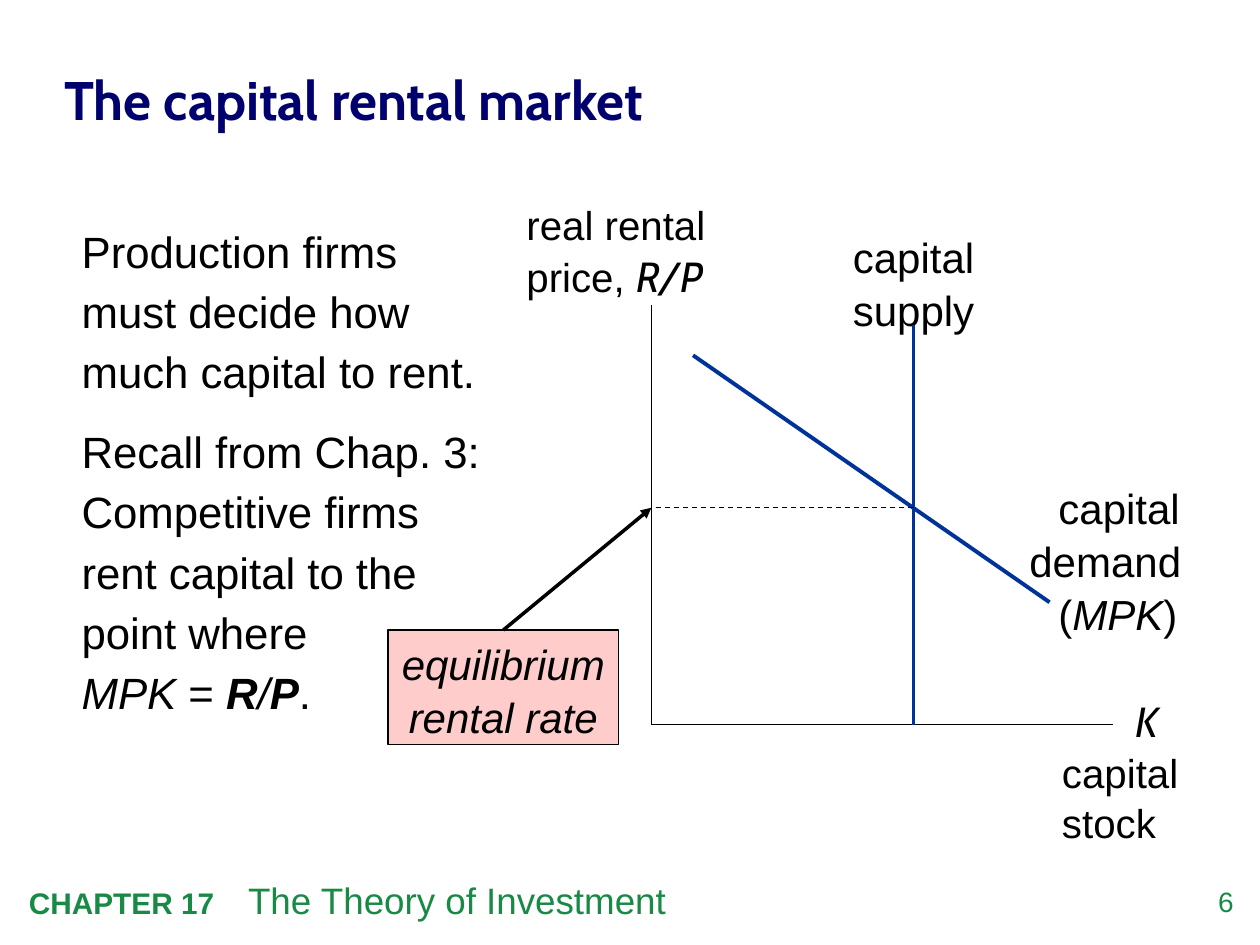
from lxml import etree
from pptx import Presentation
from pptx.dml.color import RGBColor
from pptx.enum import dml, shapes, text
from pptx.oxml.ns import qn
from pptx.util import Inches, Pt

BLACK, GREEN, NAVY, BLUE, PINK = "000000", "198A46", "00006E", "003399", "FFCCCC"
LEFT, CENTER, RIGHT = text.PP_ALIGN.LEFT, text.PP_ALIGN.CENTER, text.PP_ALIGN.RIGHT

prs = Presentation()
prs.slide_width, prs.slide_height = Inches(10), Inches(7.5)
slide = prs.slides.add_slide(prs.slide_layouts[6])


def rgb(value):
    return RGBColor.from_string(value)


def write(shape, paragraphs, color=BLACK, align=LEFT, spacing=1.05,
          before=0, inset=True, tab=None):
    """Fill a shape; each run is (text, size, style, font), \\v breaks a line."""
    frame = shape.text_frame
    frame.word_wrap = True
    frame.vertical_anchor = text.MSO_ANCHOR.TOP
    if not inset:
        frame.margin_left = frame.margin_right = 0
        frame.margin_top = frame.margin_bottom = 0
    for i, runs in enumerate(paragraphs):
        para = frame.paragraphs[0] if i == 0 else frame.add_paragraph()
        para.alignment, para.line_spacing = align, spacing
        if i and before:
            para.space_before = Pt(before)
        if tab:
            stops = etree.SubElement(para._p.get_or_add_pPr(), qn("a:tabLst"))
            etree.SubElement(stops, qn("a:tab"), pos=str(Inches(tab)), algn="l")
        for words, size, style, face in runs:
            for n, piece in enumerate(words.split("\v")):
                if n:
                    para.add_line_break()
                if not piece:
                    continue
                run = para.add_run()
                run.text = piece
                run.font.size, run.font.name = Pt(size), face
                run.font.bold, run.font.italic = "b" in style, "i" in style
                run.font.color.rgb = rgb(color)


# Text boxes: position, paragraphs, settings
labels = [
    # Footer
    ((9.24, 7.01, 0.55, 0.32), [[("6", 16, "", "Arial")]],
     dict(color=GREEN, align=RIGHT, inset=False)),
    ((0.13, 6.9, 8.18, 0.45),
     [[("CHAPTER 17\t", 17, "b", "Arial"),
       ("The Theory of Investment", 21, "", "Arial")]],
     dict(color=GREEN, tab=1.74)),
    # Explanation
    ((0.55, 1.67, 3.5, 4.17),
     [[("Production firms must decide how much capital to rent.", 25, "", "Arial")],
      [("Recall from Chap. 3:\vCompetitive firms rent capital to the point where \v",
        25, "", "Arial"),
       ("MPK", 25, "i", "Arial"), (" = ", 25, "", "Arial"),
       ("R", 25, "bi", "Arial"), ("/", 25, "i", "Arial"),
       ("P", 25, "bi", "Arial"), (".", 25, "", "Arial")]],
     dict(spacing=1.15, before=11)),
    # Axis names
    ((8.33, 5.45, 1.25, 1.27),
     [[("\tK", 24, "i", "Cabin")], [("capital stock", 23, "", "Arial")]],
     dict(tab=0.58)),
    ((4.08, 1.52, 1.83, 0.88),
     [[("real rental price, ", 23, "", "Arial"), ("R/P", 24, "i", "Cabin")]], {}),
    # Curve names
    ((6.67, 1.77, 1.25, 0.91), [[("capital supply", 24, "", "Arial")]], {}),
    ((8.17, 3.81, 1.42, 1.2),
     [[("\tcapital\vdemand\v\t(", 24, "", "Arial"),
       ("MPK", 24, "i", "Arial"), (")", 24, "", "Arial")]],
     dict(inset=False, tab=0.23)),
]
for box, paragraphs, settings in labels:
    label = slide.shapes.add_textbox(*map(Inches, box))
    write(label, paragraphs, **settings)

# Title
title = slide.shapes.add_textbox(*map(Inches, (0.51, 0.26, 9.02, 1.03)))
write(title, [[("The capital rental market", 31, "b", "Cabin")]],
      color=NAVY, inset=False)
title.text_frame.vertical_anchor = text.MSO_ANCHOR.MIDDLE

# Equilibrium callout
callout = slide.shapes.add_shape(shapes.MSO_SHAPE.RECTANGLE,
                                 *map(Inches, (3.08, 5, 1.83, 0.91)))
callout.shadow.inherit = False
callout.fill.solid()
callout.fill.fore_color.rgb = rgb(PINK)
callout.line.color.rgb = rgb(BLACK)
callout.line.width = Pt(0.75)
write(callout, [[("equilibrium rental rate", 24, "i", "Arial")]], align=CENTER)

# Axes, curves, equilibrium level and callout arrow
origin_x, origin_y = 5.17, 5.75
supply_x, rate_y = 7.25, 4.03
lines = [
    ("axis", origin_x, 2.42, origin_x, origin_y, BLACK, 0.75),
    ("axis", origin_x, origin_y, 8.83, origin_y, BLACK, 0.75),
    ("supply", supply_x, origin_y, supply_x, 2.58, BLUE, 2.25),
    ("demand", 5.5, 2.82, 8.33, 4.78, BLUE, 2.25),
    ("level", supply_x, rate_y, origin_x, rate_y, BLACK, 0.75),
    ("arrow", 4, 5, origin_x, rate_y, BLACK, 2),
]
for part, x1, y1, x2, y2, color, width in lines:
    line = slide.shapes.add_connector(shapes.MSO_CONNECTOR.STRAIGHT,
                                      *map(Inches, (x1, y1, x2, y2)))
    line.line.color.rgb = rgb(color)
    line.line.width = Pt(width)
    if part == "level":
        line.line.dash_style = dml.MSO_LINE.DASH
    if part == "arrow":
        line.begin_connect(callout, 0)
        etree.SubElement(line.line._get_or_add_ln(), qn("a:tailEnd"), type="triangle")
    etree.SubElement(line._element.spPr, qn("a:effectLst"))

prs.save("out.pptx")
